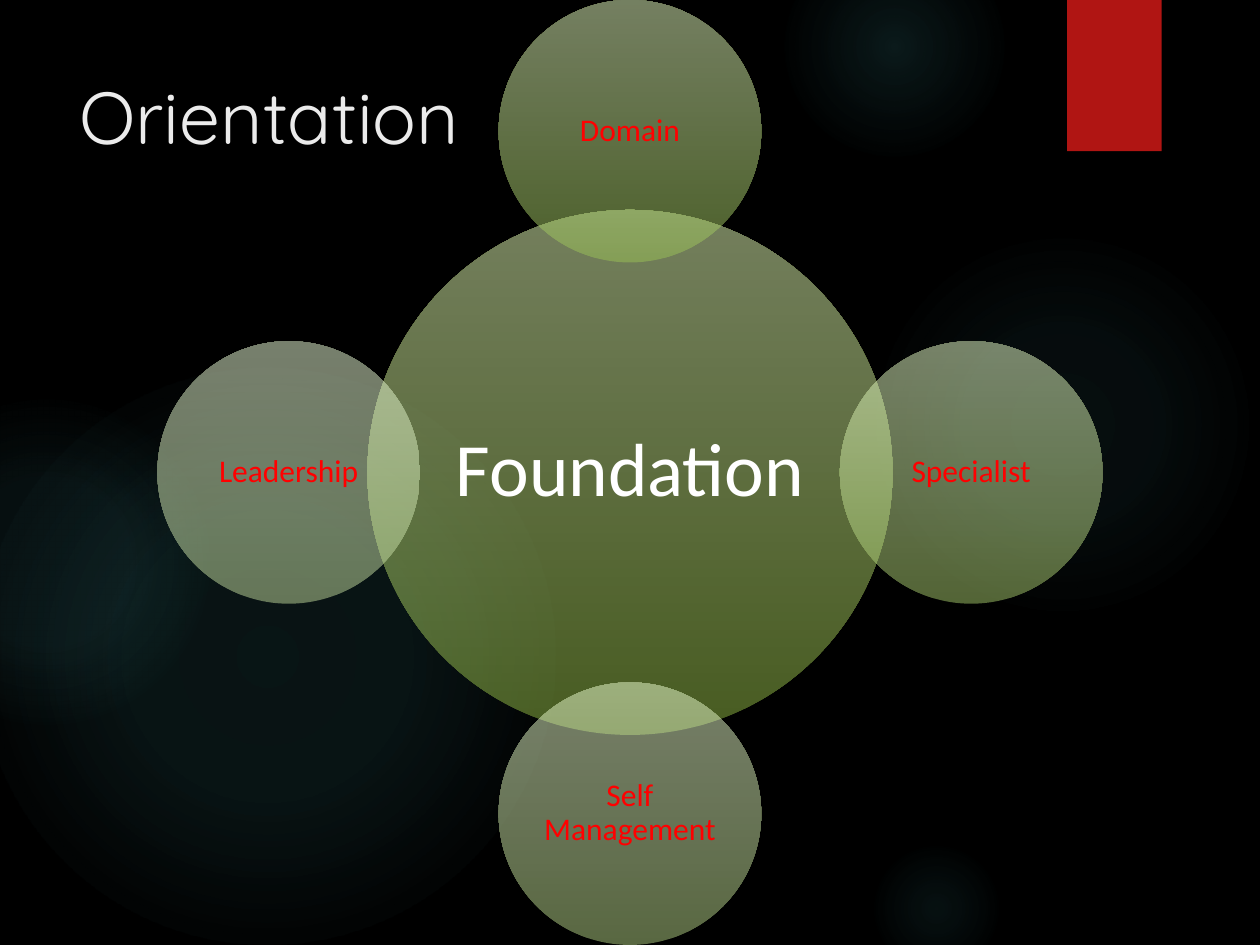
from lxml import etree
from pptx import Presentation, util as u
from pptx.dml.color import RGBColor
from pptx.enum import shapes, text
from pptx.oxml import parse_xml
from pptx.oxml.ns import nsdecls

W, H = 10, 7.5
HEX = {"back": "000000", "glow": "50B9C1", "tab": "B01513", "title": "EBEBEB",
       "hub": "FFFFFF", "label": "FF0000"}
OVAL, RECT = shapes.MSO_SHAPE.OVAL, shapes.MSO_SHAPE.RECTANGLE

deck = Presentation()
deck.slide_width, deck.slide_height = u.Inches(W), u.Inches(H)
slide = deck.slides.add_slide(deck.slide_layouts[5])
slide.background.fill.solid()
slide.background.fill.fore_color.rgb = RGBColor.from_string(HEX["back"])


def add_disc(x, y, r, stops, way):
    """Add a circle centred on x, y; stops are (percent, colour, opacity)."""
    disc = slide.shapes.add_shape(OVAL, *map(u.Inches, (x - r, y - r, 2 * r, 2 * r)))
    disc.shadow.inherit = False
    disc.line.fill.background()
    marks = "".join(
        f'<a:gs pos="{at * 1000}"><a:srgbClr val="{tint}">'
        f'<a:alpha val="{alpha * 1000}"/></a:srgbClr></a:gs>'
        for at, tint, alpha in stops)
    fill = parse_xml(f'<a:gradFill {nsdecls("a")} rotWithShape="1">'
                     f'<a:gsLst>{marks}</a:gsLst>{way}</a:gradFill>')
    disc.element.spPr.prstGeom.addnext(fill)
    return disc


def put_text(shape, words, size, font, color, align=text.PP_ALIGN.CENTER,
             anchor=text.MSO_ANCHOR.MIDDLE, inset=0.02, after=0, lead=0.9):
    frame = shape.text_frame
    frame.word_wrap = True
    frame.auto_size = text.MSO_AUTO_SIZE.NONE
    frame.vertical_anchor = anchor
    frame.margin_left = frame.margin_right = u.Inches(inset)
    frame.margin_top = frame.margin_bottom = u.Inches(min(inset, 0.06))
    para = frame.paragraphs[0]
    para.alignment, para.line_spacing, para.space_after = align, lead, u.Pt(after)
    run = para.add_run()
    run.text = words
    run.font.size, run.font.name = u.Pt(size), font
    run.font.color.rgb = RGBColor.from_string(HEX[color])


# Soft glows: centre, radius, then opacity at the core and midway, and fade end
ROUND = ('<a:path path="circle"><a:fillToRect l="50000" t="50000" '
         'r="50000" b="50000"/></a:path>')
for x, y, r, core, mid, end in [
        (8.43, 3.37, 1.54, 7, 6, 69), (7.1, 0.37, 0.87, 14, 7, 73),
        (7.43, 7.21, 0.54, 9, 5, 66), (2.12, 5.21, 2.29, 11, 10, 75),
        (0.37, 4.46, 1.29, 8, 8, 72)]:
    add_disc(x, y, r, [(0, HEX["glow"], core), (36, HEX["glow"], mid),
                       (end, HEX["glow"], 0)], ROUND)

# Red tab at the top edge
tab = slide.shapes.add_shape(RECT, *map(u.Inches, (8.47, 0, 0.75, H * 0.16)))
tab.fill.solid()
tab.fill.fore_color.rgb = RGBColor.from_string(HEX["tab"])
tab.line.fill.background()
tab.shadow.inherit = False
tab.element.spPr.find("{*}effectLst").append(etree.fromstring(
    f'<a:outerShdw {nsdecls("a")} blurRad="{u.Pt(3)}" dist="{u.Pt(2)}" '
    'dir="5400000" rotWithShape="0"><a:srgbClr val="000000">'
    '<a:alpha val="45000"/></a:srgbClr></a:outerShdw>'))

# Title, in front of the glows
title = slide.shapes.title
title.left, title.top, title.width, title.height = map(u.Inches, (0.53, 0.5, 7.72, 1.53))
put_text(title, "Orientation", 42, "Quicksand", "title", inset=0.1, lead=1,
         align=text.PP_ALIGN.LEFT, anchor=text.MSO_ANCHOR.TOP)
slide.shapes.element.append(title.element)

# Hub with four satellites that reach the top and bottom edges
UP = '<a:lin ang="16200000" scaled="0"/>'
hub = H * 5 / 18
sat = hub / 2
orbit = H / 2 - sat
for words, dx, dy, low, high in [
        ("Foundation", 0, 0, "90B842", "E8FFBB"),
        ("Domain", 0, -1, "9AC256", "E9FFC3"),
        ("Specialist", 1, 0, "A7CA6D", "EAFFCB"),
        ("Self Management", 0, 1, "B3D185", "EEFFD3"),
        ("Leadership", -1, 0, "C1DA9C", "EEFFDB")]:
    main = words == "Foundation"
    disc = add_disc(W / 2 + dx * orbit, H / 2 + dy * orbit, hub if main else sat,
                    [(0, low, 50), (100, high, 50)], UP)
    if main:
        put_text(disc, words, 43, "Calibri", "hub", inset=0.06, after=15.1)
    else:
        put_text(disc, words, 18, "Calibri", "label", after=6.3)

deck.save("out.pptx")
